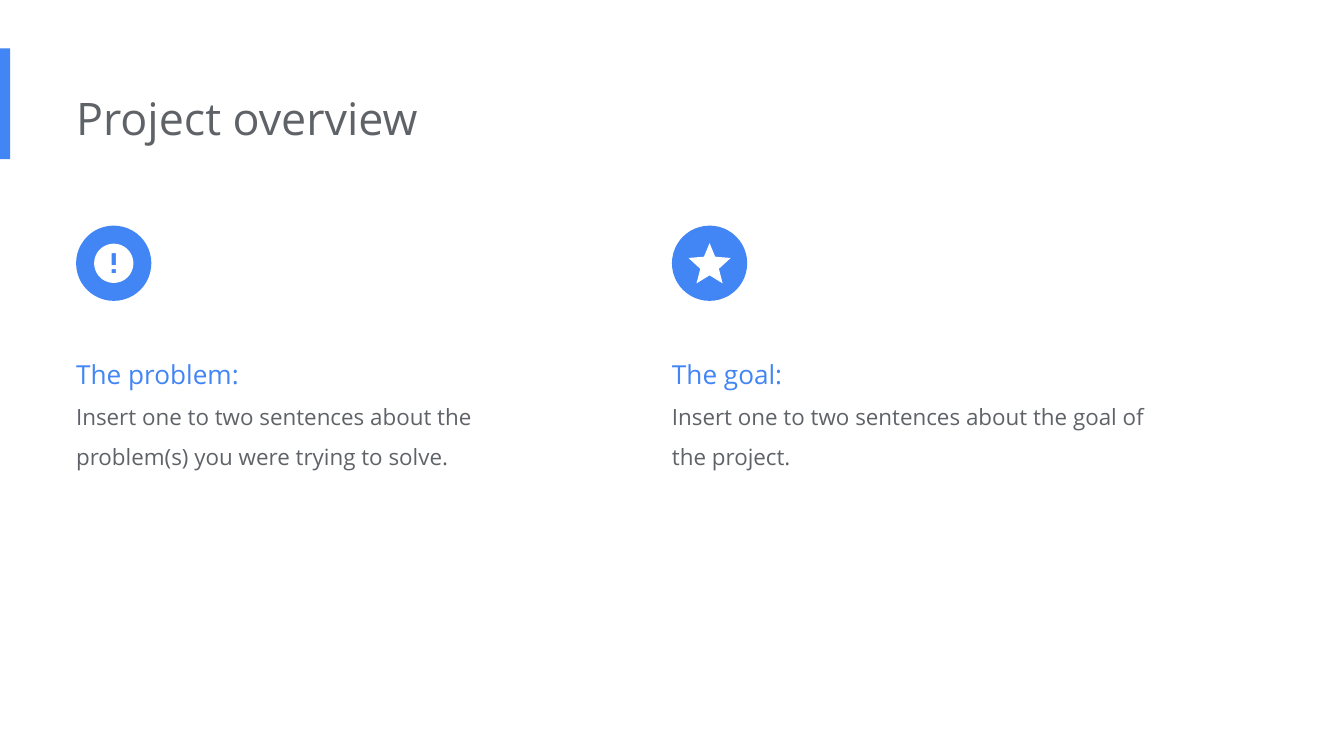
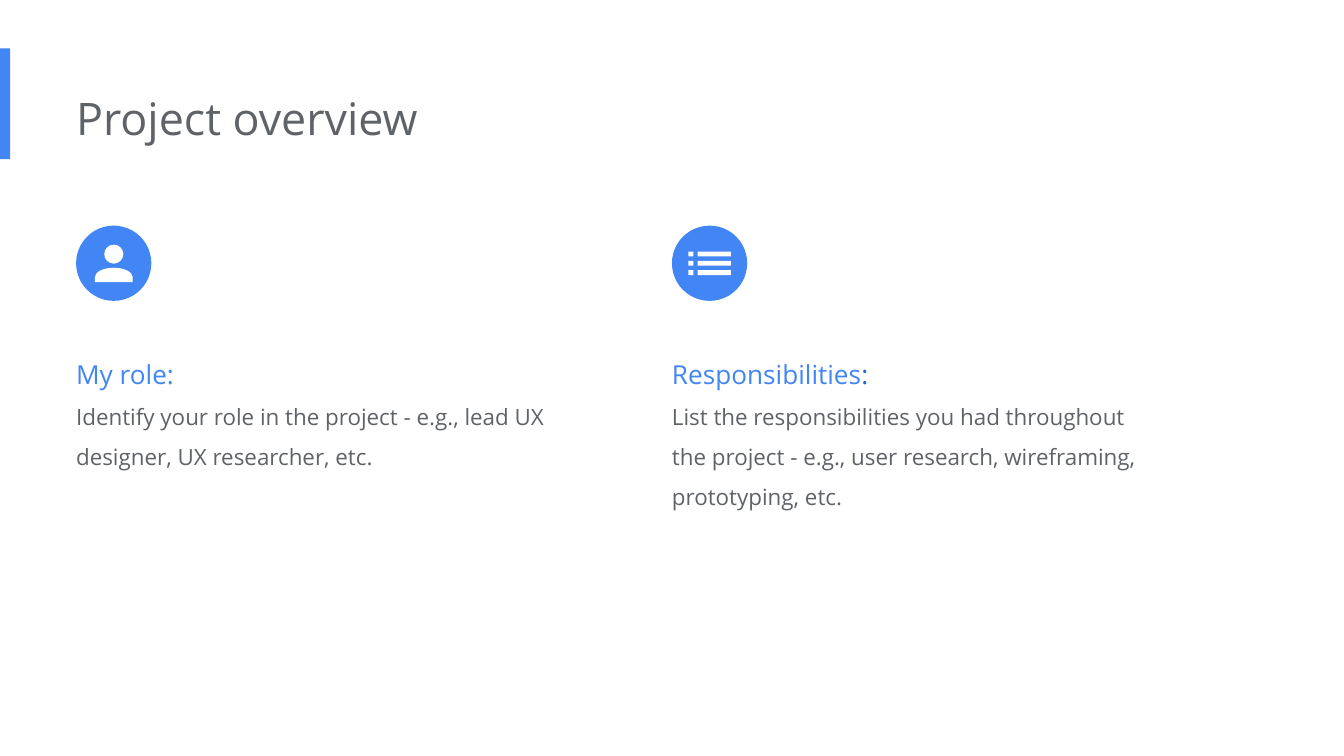
from math import cos, pi, sin

from lxml.etree import SubElement
from pptx import Presentation
from pptx.dml.color import RGBColor
from pptx.enum.shapes import MSO_SHAPE as Preset
from pptx.enum.text import MSO_AUTO_SIZE as AutoSize
from pptx.oxml.ns import qn
from pptx.util import Pt

FONT = "Open Sans"
BLUE, DEEP_BLUE, GREY, WHITE = "4285F4", "1967D2", "5F6368", "FFFFFF"
TITLE = "Project overview"

SLIDES = [
    [
        dict(icon="alert", heading=[("The problem: ", BLUE)], lines=2,
             body="Insert one to two sentences about the problem(s) you were trying to solve."),
        dict(icon="star", heading=[("The goal: ", BLUE)], lines=2,
             body="Insert one to two sentences about the goal of the project."),
    ],
    [
        dict(icon="person", heading=[("My role: ", BLUE)], lines=2,
             body="Identify your role in the project - e.g., lead UX designer, UX researcher, etc. "),
        dict(icon="list", heading=[("Responsibilities", BLUE), (": ", DEEP_BLUE)], lines=3,
             body="List the responsibilities you had throughout the project - e.g., "
                  "user research, wireframing, prototyping, etc. "),
    ],
]

COLUMNS = (40.8, 360)
COLUMN_WIDTH = 271.4
BADGE_TOP, BADGE_SIZE = 120.9, 40.3
TEXT_TOP, TEXT_BASE, LINE_HEIGHT = 176.2, 39.6, 21.6
INSET = 7.2
BEND = 0.55


def color(value):
    return RGBColor.from_string(value)


def circle(radius, steps=88):
    angles = [2 * pi * step / steps for step in range(steps)]
    return [(radius * cos(a), radius * sin(a)) for a in angles]


def box(left, top, right, bottom):
    return [(left, top), (right, top), (right, bottom), (left, bottom)]


def dome(center_y, radius_x, radius_y):
    top = center_y - radius_y
    return [(-radius_x, center_y),
            (-radius_x, center_y - BEND * radius_y), (-BEND * radius_x, top), (0, top),
            (BEND * radius_x, top), (radius_x, center_y - BEND * radius_y), (radius_x, center_y)]


def bowl(center_y, radius_x, radius_y):
    return [(-x, 2 * center_y - y) for x, y in dome(center_y, radius_x, radius_y)[1:]]


star_half = [(0, 6.5), (7, 10.8), (5, 3), (11.3, -2.8), (3, -3.5), (0, -10.8)]
ICONS = {
    "alert": [box(-1.1, -5.4, 1.1, 1), box(-1.1, 3.1, 1.1, 5.3), circle(10.5)],
    "star": [star_half + [(-x, y) for x, y in star_half[-2:0:-1]]],
    "person": [dome(-4.9, 5.1, 5.1) + bowl(-4.9, 5.1, 5.1),
               dome(7.4, 10.1, 5) + [(10.1, 10.1), (-10.1, 10.1)]],
    "list": [box(left, row - 1.3, right, row + 1.3)
             for row in (0, 5, -5) for left, right in ((-11.4, -8.7), (-6.4, 11.4))],
}
CURVES = {"person": (0, 3, 6, 9, 12, 15)}


def paint(shape, fill):
    shape.shadow.inherit = False
    shape.fill.solid()
    shape.fill.fore_color.rgb = color(fill)
    shape.line.fill.background()


def add_preset(slide, preset, left, top, width, height):
    shape = slide.shapes.add_shape(preset, Pt(left), Pt(top), Pt(width), Pt(height))
    paint(shape, BLUE)
    return shape


def bend_lines(shape, starts):
    lines = list(shape.element.iter(qn("a:lnTo")))
    for start in starts:
        trio = lines[start:start + 3]
        outline = trio[0].getparent()
        curve = SubElement(outline, qn("a:cubicBezTo"))
        outline.insert(outline.index(trio[0]), curve)
        for line in trio:
            curve.append(line[0])
            outline.remove(line)


def add_icon(slide, icon, center_x, center_y):
    scaled = [[(x * 100, y * 100) for x, y in contour] for contour in ICONS[icon]]
    builder = slide.shapes.build_freeform(*scaled[0][0], scale=Pt(1) / 100)
    for index, contour in enumerate(scaled):
        if index:
            builder.move_to(*contour[0])
        builder.add_line_segments(contour[1:], close=False)
        builder.add_line_segments([contour[0]], close=False)
    shape = builder.convert_to_shape(Pt(center_x), Pt(center_y))
    bend_lines(shape, [start + start // 12 for start in CURVES.get(icon, ())])
    paint(shape, WHITE)


def add_text(slide, left, top, width, height, paragraphs, spacing):
    frame = slide.shapes.add_textbox(Pt(left), Pt(top), Pt(width), Pt(height)).text_frame
    frame.word_wrap = True
    frame.auto_size = AutoSize.SHAPE_TO_FIT_TEXT
    frame.margin_left = 0
    frame.margin_top = frame.margin_right = frame.margin_bottom = Pt(INSET)
    for index, (size, runs) in enumerate(paragraphs):
        paragraph = frame.add_paragraph() if index else frame.paragraphs[0]
        paragraph.line_spacing = spacing
        paragraph.font.name = FONT
        paragraph.font.size = Pt(size)
        for text, ink in runs:
            run = paragraph.add_run()
            run.text = text
            run.font.color.rgb = color(ink)


def add_topic(slide, left, topic):
    height = TEXT_BASE + LINE_HEIGHT * topic["lines"]
    add_text(slide, left, TEXT_TOP, COLUMN_WIDTH, height,
             [(14, topic["heading"]), (12, [(topic["body"], GREY)])], 1.5)
    add_preset(slide, Preset.OVAL, left, BADGE_TOP, BADGE_SIZE, BADGE_SIZE)
    add_icon(slide, topic["icon"], left + BADGE_SIZE / 2, BADGE_TOP + BADGE_SIZE / 2)


def style_layout(layout, slide):
    for placeholder in list(layout.placeholders):
        layout.shapes.element.remove(placeholder.element)
    layout.background.fill.solid()
    layout.background.fill.fore_color.rgb = color(WHITE)
    bar = add_preset(slide, Preset.RECTANGLE, 0, 25.9, 5.5, 59.4)
    layout.shapes.element.append(bar.element)


deck = Presentation()
deck.slide_width, deck.slide_height = Pt(720), Pt(405)
blank = deck.slide_layouts[6]
for number, topics in enumerate(SLIDES):
    slide = deck.slides.add_slide(blank)
    if number == 0:
        style_layout(blank, slide)
    add_text(slide, COLUMNS[0], 41.3, 484.6, 43.2, [(24, [(TITLE, GREY)])], 1)
    for left, topic in zip(COLUMNS, topics):
        add_topic(slide, left, topic)
deck.save("out.pptx")
